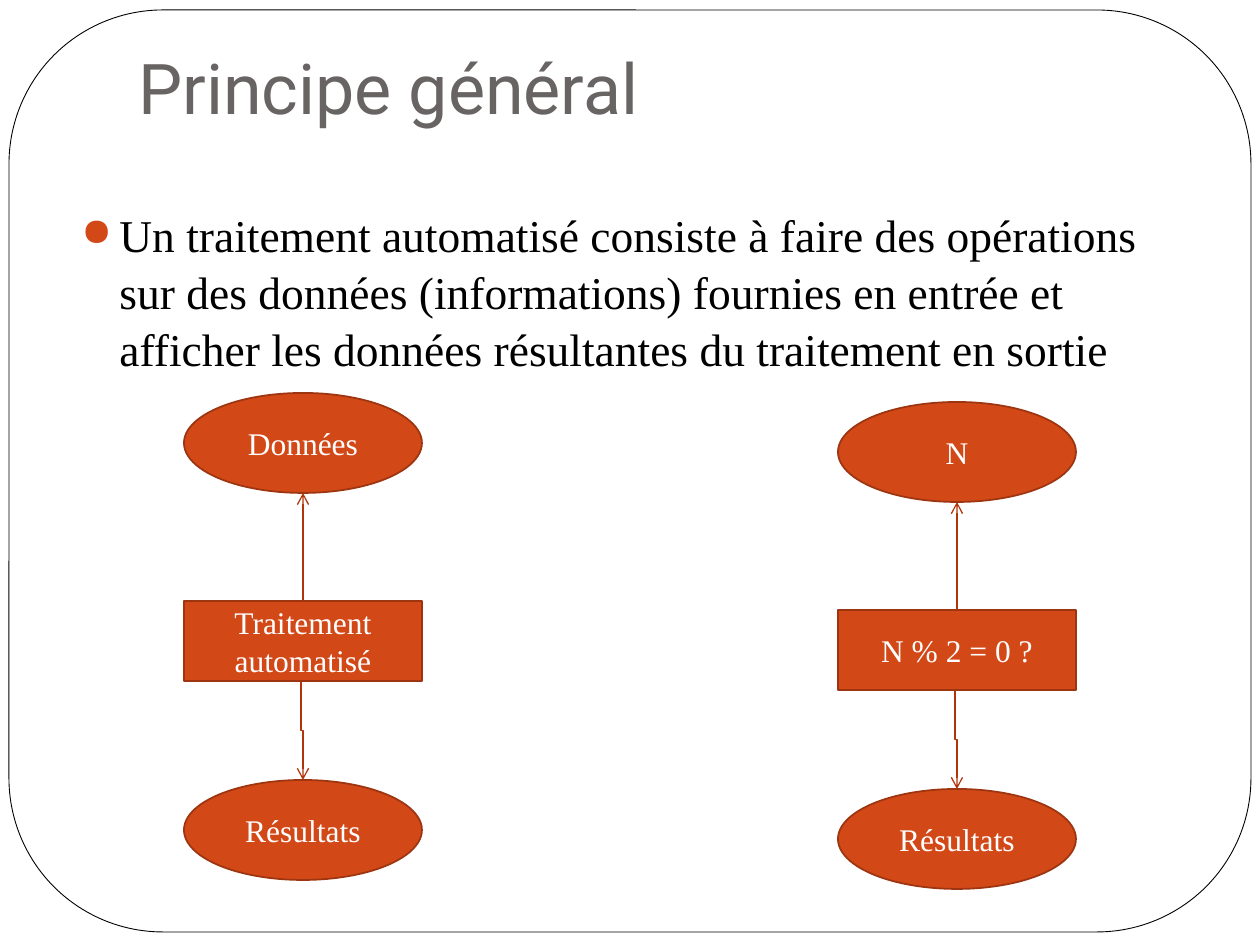
from lxml import etree
from pptx import Presentation
from pptx.dml.color import RGBColor
from pptx.enum.shapes import MSO_CONNECTOR, MSO_SHAPE
from pptx.enum.text import MSO_ANCHOR, PP_ALIGN
from pptx.oxml.ns import qn
from pptx.util import Pt

STRAIGHT, ELBOW = MSO_CONNECTOR.STRAIGHT, MSO_CONNECTOR.ELBOW
OVAL, RECTANGLE, ROUNDED = MSO_SHAPE.OVAL, MSO_SHAPE.RECTANGLE, MSO_SHAPE.ROUNDED_RECTANGLE
MIDDLE, TOP = MSO_ANCHOR.MIDDLE, MSO_ANCHOR.TOP
CENTER, LEFT = PP_ALIGN.CENTER, PP_ALIGN.LEFT

WHITE = RGBColor(0xFF, 0xFF, 0xFF)
BLACK = RGBColor(0x00, 0x00, 0x00)
GREY = RGBColor(0x69, 0x64, 0x64)
ORANGE = RGBColor(0xD3, 0x48, 0x17)
RUST = RGBColor(0x9C, 0x35, 0x10)
ARROW = RGBColor(0xB0, 0x35, 0x0B)

EMU_PER_PX = 914400 / 126
NODE_WIDTH, OVAL_HEIGHT, BOX_HEIGHT = 238, 100, 80
PROCESS_OFFSET, RESULT_OFFSET = 208, 387
ELBOW_SHIFT = 2


def px(value):
    return round(value * EMU_PER_PX)


def set_all(target, values):
    for name, value in values.items():
        setattr(target, name, value)


class SlideBuilder:
    title_font = {"name": "Roboto", "size": Pt(40)}
    body_font = {"name": "Times New Roman", "size": Pt(26)}
    node_font = {"name": "Times New Roman", "size": Pt(18)}
    body_spacing = {"space_before": Pt(5.8), "space_after": Pt(14.2), "line_spacing": 1.04}

    def __init__(self, slide):
        self.slide = slide

    def fill_text(self, shape, text, font, color, align=LEFT, anchor=TOP):
        frame = shape.text_frame
        set_all(frame, {"word_wrap": True, "vertical_anchor": anchor})
        paragraph = frame.paragraphs[0]
        paragraph.alignment = align
        run = paragraph.add_run()
        run.text = text
        set_all(run.font, font)
        run.font.color.rgb = color
        return paragraph

    def text(self, box, text, font, color):
        textbox = self.slide.shapes.add_textbox(*map(px, box))
        return self.fill_text(textbox, text, font, color)

    def bullet(self, box, text):
        paragraph = self.text(box, text, self.body_font, BLACK)
        set_all(paragraph, self.body_spacing)
        properties = paragraph._p.get_or_add_pPr()
        properties.set("marL", str(px(38)))
        properties.set("indent", str(px(-38)))
        bullet_color = etree.SubElement(properties, qn("a:buClr"))
        etree.SubElement(bullet_color, qn("a:srgbClr"), val=str(ORANGE))
        etree.SubElement(properties, qn("a:buSzPct"), val="85000")
        etree.SubElement(properties, qn("a:buChar"), char="●")

    def shape(self, kind, box, fill, outline, width):
        shape = self.slide.shapes.add_shape(kind, *map(px, box))
        shape.shadow.inherit = False
        shape.fill.solid()
        shape.fill.fore_color.rgb = fill
        shape.line.color.rgb = outline
        shape.line.width = Pt(width)
        return shape

    def node(self, kind, box, label):
        shape = self.shape(kind, box, ORANGE, RUST, 1)
        self.fill_text(shape, label, self.node_font, WHITE, CENTER, MIDDLE)
        return shape

    def arrow(self, kind, start, end):
        """Add a connector with an open arrowhead; start and end are EMU points."""
        connector = self.slide.shapes.add_connector(kind, *start, *end)
        connector.line.color.rgb = ARROW
        connector.line.width = Pt(0.75)
        properties = connector._element.spPr
        etree.SubElement(properties.find(qn("a:ln")), qn("a:tailEnd"), type="arrow")
        etree.SubElement(properties, qn("a:effectLst"))
        return connector

    def straight_arrow(self, start, end, source):
        connector = self.arrow(STRAIGHT, tuple(map(px, start)), tuple(map(px, end)))
        connector.begin_connect(source, 0)

    def elbow_down(self, start, end):
        """Lay the elbow on its side about its centre, then turn it to point down."""
        (x1, y1), (x2, y2) = start, end
        center_x, center_y = px((x1 + x2) / 2), px((y1 + y2) / 2)
        half_length, half_shift = px((y2 - y1) / 2), px((x2 - x1) / 2)
        connector = self.arrow(
            ELBOW,
            (center_x + half_length, center_y - half_shift),
            (center_x - half_length, center_y + half_shift),
        )
        connector._element.spPr.find(qn("a:xfrm")).set("rot", str(270 * 60000))

    def flow(self, left, top, data, process, result):
        """Stack data, process and result, with arrows leaving the process."""
        center = left + NODE_WIDTH // 2
        process_top, result_top = top + PROCESS_OFFSET, top + RESULT_OFFSET
        self.node(OVAL, (left, top, NODE_WIDTH, OVAL_HEIGHT), data)
        self.node(OVAL, (left, result_top, NODE_WIDTH, OVAL_HEIGHT), result)
        process_box = self.node(
            RECTANGLE, (left, process_top, NODE_WIDTH, BOX_HEIGHT), process
        )
        self.straight_arrow((center, process_top), (center, top + OVAL_HEIGHT), process_box)
        self.elbow_down(
            (center - ELBOW_SHIFT, process_top + BOX_HEIGHT), (center, result_top)
        )


def main():
    presentation = Presentation()
    set_all(presentation, {"slide_width": px(1260), "slide_height": px(945)})
    builder = SlideBuilder(presentation.slides.add_slide(presentation.slide_layouts[6]))

    border = builder.shape(ROUNDED, (9, 10, 1242, 922), WHITE, BLACK, 0.5)
    border.adjustments[0] = 0.167
    builder.text((126, 38, 1071, 158), "Principe général", builder.title_font, GREY)
    builder.bullet(
        (69, 199, 1128, 716),
        "Un traitement automatisé consiste à faire des opérations sur des données "
        "(informations) fournies en entrée et afficher les données résultantes "
        "du traitement en sortie",
    )
    builder.flow(184, 393, "Données", "Traitement automatisé", "Résultats")
    builder.flow(838, 402, "N", "N % 2 = 0 ?", "Résultats")

    presentation.save("out.pptx")


if __name__ == "__main__":
    main()
